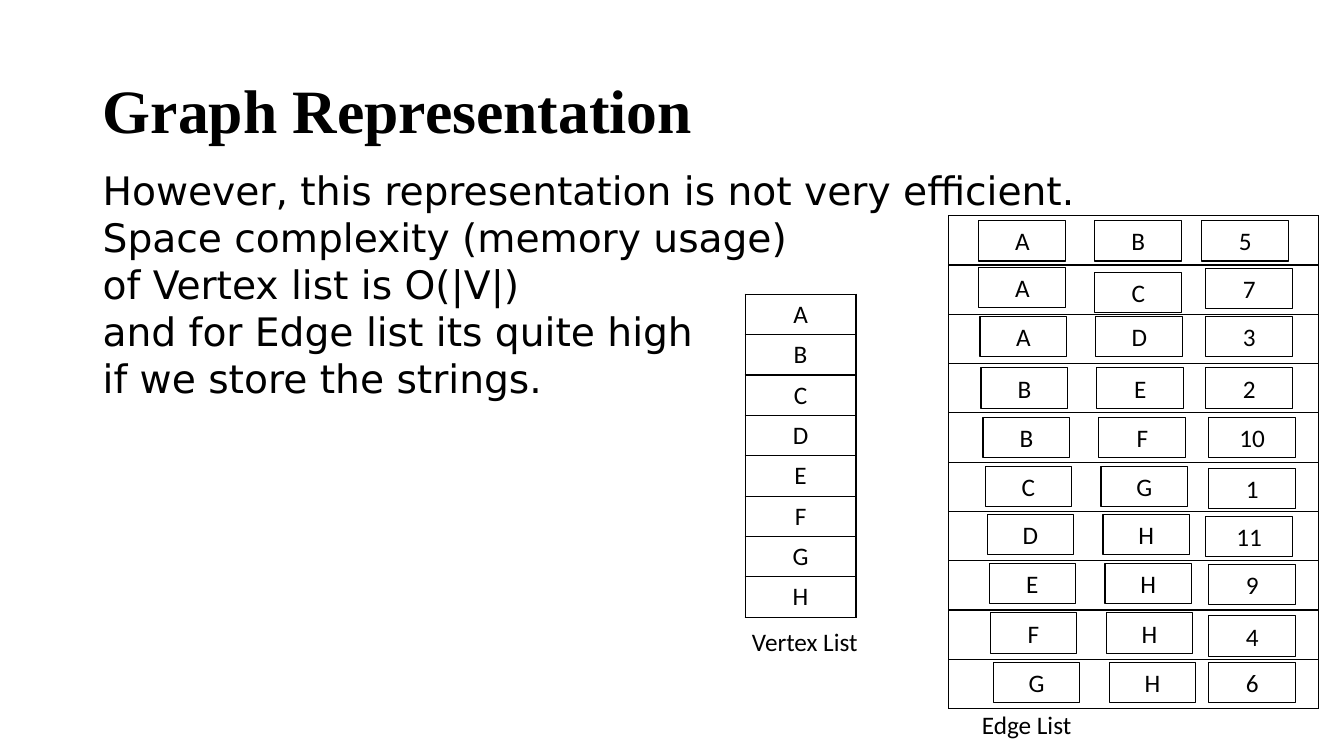
from lxml.etree import SubElement
from pptx import Presentation
from pptx.dml.color import RGBColor
from pptx.enum.shapes import MSO_SHAPE
from pptx.enum.text import MSO_ANCHOR, MSO_AUTO_SIZE, PP_ALIGN
from pptx.oxml.ns import qn
from pptx.util import Inches, Pt

COLORS = {"ink": "000000"}
BODY_LINES = [
    "However, this representation is not very efficient.",
    "Space complexity (memory usage)",
    "of Vertex list is O(|V|)",
    "and for Edge list its quite high",
    "if we store the strings.",
]
VERTICES = "ABCDEFGH"
TARGET_OFFSET = 1.15
# from, to, weight, left of "from" box, tops of "from" and "to" boxes, left and top of weight box
EDGES = [
    ("A", "B", "5", 9.71, 2.19, 2.19, 11.92, 2.19),
    ("A", "C", "7", 9.71, 2.65, 2.70, 11.96, 2.66),
    ("A", "D", "3", 9.72, 3.14, 3.14, 11.96, 3.14),
    ("B", "E", "2", 9.73, 3.65, 3.65, 11.96, 3.65),
    ("B", "F", "10", 9.75, 4.14, 4.14, 11.99, 4.14),
    ("C", "G", "1", 9.77, 4.63, 4.63, 11.99, 4.65),
    ("D", "H", "11", 9.79, 5.10, 5.10, 11.96, 5.12),
    ("E", "H", "9", 9.81, 5.59, 5.59, 11.99, 5.60),
    ("F", "H", "4", 9.82, 6.08, 6.08, 11.99, 6.11),
    ("G", "H", "6", 9.85, 6.57, 6.57, 11.99, 6.57),
]


def ink():
    return RGBColor.from_string(COLORS["ink"])


def format_text(frame, size=18, font="Calibri", bold=False, align=PP_ALIGN.LEFT):
    for para in frame.paragraphs:
        para.alignment = align
        for span in para.runs:
            span.font.size = Pt(size)
            span.font.name = font
            span.font.bold = bold
            span.font.color.rgb = ink()


def set_title(slide, text):
    title = slide.shapes.title
    title.left, title.top = Inches(0.92), Inches(0.4)
    title.width, title.height = Inches(11.5), Inches(1.45)
    frame = title.text_frame
    frame.text = text
    frame.auto_size = MSO_AUTO_SIZE.NONE
    frame.vertical_anchor = MSO_ANCHOR.MIDDLE
    frame.paragraphs[0].line_spacing = 0.9
    format_text(frame, 44, "Times New Roman", bold=True)


def add_text(slide, text, left, top, width, height, **style):
    box = slide.shapes.add_textbox(Inches(left), Inches(top), Inches(width), Inches(height))
    frame = box.text_frame
    frame.word_wrap = True
    frame.text = text
    format_text(frame, **style)


def add_value_box(slide, text, left, top):
    box = slide.shapes.add_shape(
        MSO_SHAPE.RECTANGLE, Inches(left), Inches(top), Inches(0.86), Inches(0.4))
    box.shadow.inherit = False
    box.fill.background()
    box.line.color.rgb = ink()
    box.line.width = Pt(0.75)
    box.text_frame.text = text
    format_text(box.text_frame, align=PP_ALIGN.CENTER)


def outline_cell(cell):
    """Clear the cell's fill and draw a thin line on all four sides."""
    cell.fill.background()
    properties = cell._tc.get_or_add_tcPr()
    for index, side in enumerate(("a:lnL", "a:lnR", "a:lnT", "a:lnB")):
        line = properties.makeelement(qn(side), {"w": str(Pt(1))})
        fill = SubElement(line, qn("a:solidFill"))
        SubElement(fill, qn("a:srgbClr"), val=COLORS["ink"])
        properties.insert(index, line)


def add_column(slide, values, left, top, width, row_height):
    """Add a one-column table with one row per value."""
    count = len(values)
    table = slide.shapes.add_table(
        count, 1, Inches(left), Inches(top), Inches(width), Inches(row_height * count)).table
    table.first_row = False
    table.horz_banding = False
    for row, value in zip(table.rows, values):
        row.height = Inches(row_height)
        cell = row.cells[0]
        outline_cell(cell)
        if value:
            cell.text_frame.text = value
            format_text(cell.text_frame, align=PP_ALIGN.CENTER)


def add_edge(slide, edge):
    source, target, weight, left, source_top, target_top, weight_left, weight_top = edge
    add_value_box(slide, source, left, source_top)
    add_value_box(slide, target, left + TARGET_OFFSET, target_top)
    add_value_box(slide, weight, weight_left, weight_top)


def main():
    deck = Presentation()
    deck.slide_width, deck.slide_height = Inches(13.33), Inches(7.5)
    slide = deck.slides.add_slide(deck.slide_layouts[5])
    set_title(slide, "Graph Representation")
    add_text(slide, "\n".join(BODY_LINES), 0.92, 1.6, 11.3, 2.93, size=28, font="DejaVu Sans")
    add_column(slide, [""] * len(EDGES), 9.41, 2.14, 3.67, 0.489)
    add_text(slide, "Edge List", 9.64, 6.99, 1.38, 0.4)
    for edge in EDGES:
        add_edge(slide, edge)
    add_column(slide, VERTICES, 7.39, 2.92, 1.1, 0.4)
    add_text(slide, "Vertex List", 7.36, 6.16, 1.38, 0.4)
    deck.save("out.pptx")


if __name__ == "__main__":
    main()
